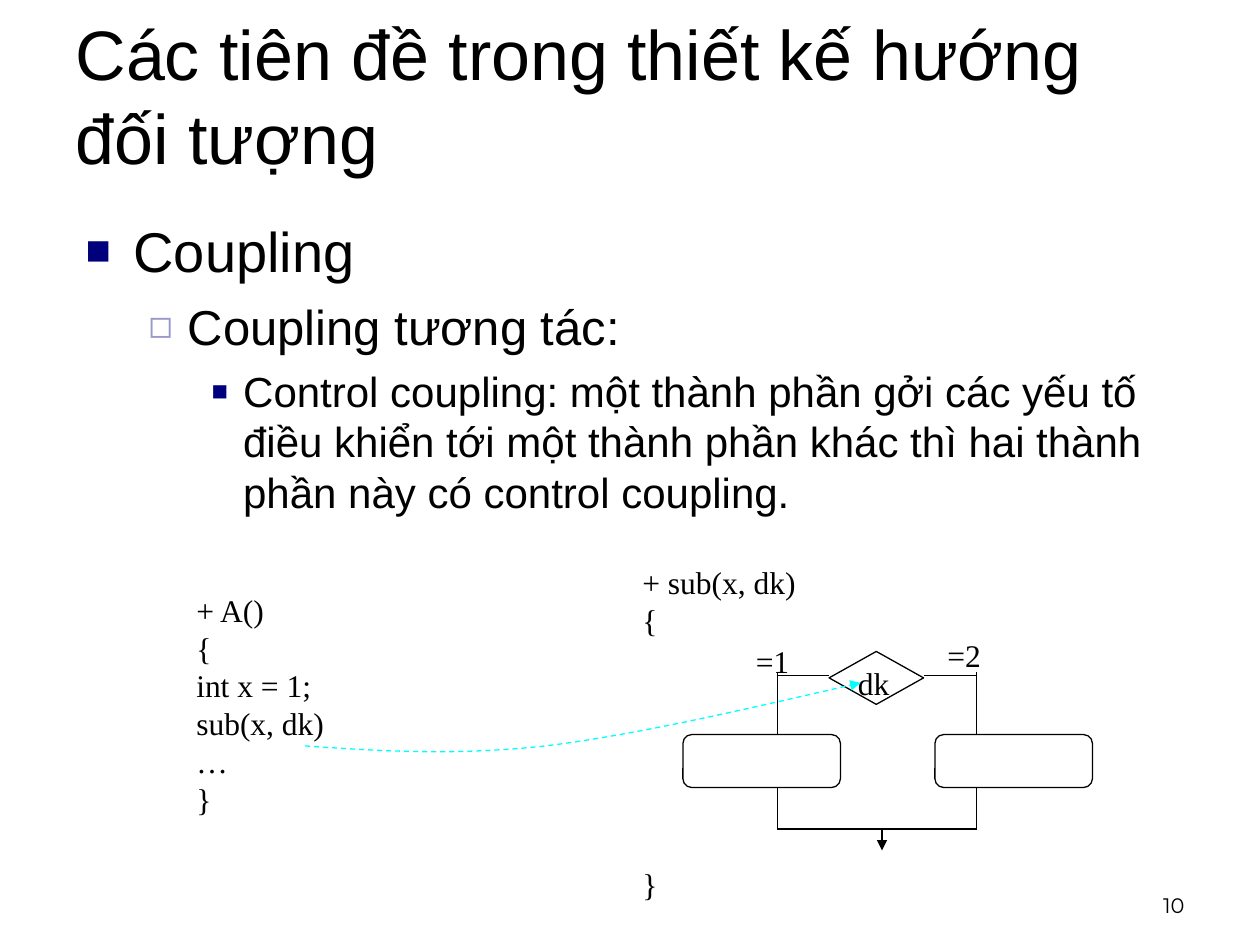
from dataclasses import dataclass

import pptx
import pptx.dml.color
import pptx.enum.dml
import pptx.enum.shapes
import pptx.enum.text
import pptx.oxml
import pptx.oxml.ns
import pptx.util
from pptx.util import Inches

RGBColor = pptx.dml.color.RGBColor
BLACK = RGBColor(0x00, 0x00, 0x00)
NAVY = RGBColor(0x00, 0x00, 0x7D)
LAVENDER = RGBColor(0x99, 0x99, 0xCC)
CYAN = RGBColor(0x00, 0xFF, 0xFF)

Align = pptx.enum.text.PP_ALIGN
Anchor = pptx.enum.text.MSO_ANCHOR
Preset = pptx.enum.shapes.MSO_SHAPE
LINE_FACTOR = 1.2
CODE_SIZE = 18


@dataclass
class Bullet:
    text: str
    size: int
    before: int
    margin: float
    hanging: float
    mark: str
    color: RGBColor
    percent: int


@dataclass
class Branch:
    center: float
    box_left: float
    diamond_corner: float


BULLETS = [
    Bullet("Coupling", 32, 8, 0.38, 0.38, "■", NAVY, 75),
    Bullet("Coupling tương tác:", 28, 7, 0.81, 0.31, "◻", LAVENDER, 80),
    Bullet("Control coupling: một thành phần gởi các yếu tố điều khiển tới một "
           "thành phần khác thì hai thành phần này có control coupling.",
           24, 6, 1.25, 0.25, "■", NAVY, 65),
]
BRANCHES = [Branch(6.17, 5.42, 6.58), Branch(7.75, 7.42, 7.33)]


def place(shape, left: float, top: float, width: float, height: float) -> None:
    shape.left, shape.top = Inches(left), Inches(top)
    shape.width, shape.height = Inches(width), Inches(height)


def write(frame, lines: list[str], *, size: int, font: str = "Times New Roman",
          align=Align.LEFT, anchor=Anchor.TOP, wrap: bool = True) -> None:
    """Fill a text frame with one paragraph for each line."""
    frame.auto_size = pptx.enum.text.MSO_AUTO_SIZE.NONE
    frame.word_wrap = wrap
    frame.vertical_anchor = anchor
    for index, line in enumerate(lines):
        para = frame.paragraphs[0] if index == 0 else frame.add_paragraph()
        para.alignment = align
        para.space_before = pptx.util.Pt(0)
        para.line_spacing = pptx.util.Pt(size * LINE_FACTOR)
        span = para.add_run()
        span.text = line
        span.font.size = pptx.util.Pt(size)
        span.font.name = font
        span.font.color.rgb = BLACK


def add_text(page, lines: list[str], left: float, top: float, width: float,
             height: float, **text_format):
    box = page.shapes.add_textbox(Inches(left), Inches(top), Inches(width), Inches(height))
    write(box.text_frame, lines, **text_format)
    return box


def add_xml(parent, tag: str, **attributes: str):
    child = pptx.oxml.parse_xml(f"<a:{tag} {pptx.oxml.ns.nsdecls('a')}/>")
    for name, value in attributes.items():
        child.set(name, value)
    parent.append(child)
    return child


def format_bullet(para, level: int, bullet: Bullet) -> None:
    para.level = level
    para.space_before = pptx.util.Pt(bullet.before)
    para.line_spacing = pptx.util.Pt(bullet.size * LINE_FACTOR)
    para.font.size = pptx.util.Pt(bullet.size)
    para.runs[0].font.size = pptx.util.Pt(bullet.size)
    props = para._p.get_or_add_pPr()
    props.set("marL", str(Inches(bullet.margin)))
    props.set("indent", str(-Inches(bullet.hanging)))
    add_xml(add_xml(props, "buClr"), "srgbClr", val=str(bullet.color))
    add_xml(props, "buSzPct", val=str(bullet.percent * 1000))
    add_xml(props, "buChar", char=bullet.mark)


def style_line(shape, color: RGBColor = BLACK, arrow: bool = False, dashed: bool = False) -> None:
    shape.line.color.rgb = color
    shape.line.width = pptx.util.Pt(0.75)
    if dashed:
        shape.line.dash_style = pptx.enum.dml.MSO_LINE.DASH
    if arrow:
        add_xml(shape.line._get_or_add_ln(), "tailEnd", type="triangle")


def add_outline(group, preset, left: float, top: float, width: float, height: float) -> None:
    shape = group.shapes.add_shape(preset, Inches(left), Inches(top), Inches(width), Inches(height))
    shape.shadow.inherit = False
    shape.fill.background()
    style_line(shape)


def add_line(group, x1: float, y1: float, x2: float, y2: float, arrow: bool = False) -> None:
    line = group.shapes.add_connector(pptx.enum.shapes.MSO_CONNECTOR.STRAIGHT,
                                      Inches(x1), Inches(y1), Inches(x2), Inches(y2))
    style_line(line, arrow=arrow)
    add_xml(line._element.spPr, "effectLst")


def curve_points(p0, p1, p2, p3, steps: int = 20) -> list[tuple[float, float]]:
    """Points along a cubic curve, without its start."""
    points = []
    for step in range(1, steps + 1):
        t = step / steps
        weights = ((1 - t) ** 3, 3 * t * (1 - t) ** 2, 3 * t ** 2 * (1 - t), t ** 3)
        points.append(tuple(sum(w * p[axis] for w, p in zip(weights, (p0, p1, p2, p3)))
                            for axis in (0, 1)))
    return points


def add_flowchart(page) -> None:
    group = page.shapes.add_group_shape()
    add_outline(group, Preset.FLOWCHART_DECISION, 6.58, 5.17, 0.75, 0.42)
    for branch in BRANCHES:
        add_line(group, branch.diamond_corner, 5.36, branch.center, 5.36)
        add_outline(group, Preset.ROUNDED_RECTANGLE, branch.box_left, 5.83, 1.25, 0.42)
        add_line(group, branch.center, 5.33, branch.center, 5.83)
        add_line(group, branch.center, 6.25, branch.center, 6.58)
    add_line(group, BRANCHES[0].center, 6.58, BRANCHES[1].center, 6.58)
    add_line(group, 7, 6.58, 7, 6.75, arrow=True)
    for label, left, top in (("dk", 6.71, 5.22), ("=1", 5.9, 5.05), ("=2", 7.42, 5)):
        add_text(page, [label], left, top, 0.5, 0.4, size=CODE_SIZE, wrap=False)


def add_control_arrow(page) -> None:
    start, middle, end = (2.42, 5.92), (4.33, 5.92), (6.83, 5.42)
    points = (curve_points(start, (3.01, 5.96), (3.6, 6), middle)
              + curve_points(middle, (5.07, 5.83), (5.95, 5.62), end))
    # The builder keeps whole units only, so points go in as EMU
    builder = page.shapes.build_freeform(Inches(start[0]), Inches(start[1]), scale=1.0)
    builder.add_line_segments([(Inches(x), Inches(y)) for x, y in points], close=False)
    arrow = builder.convert_to_shape()
    arrow.shadow.inherit = False
    arrow.fill.background()
    style_line(arrow, CYAN, arrow=True, dashed=True)


def main() -> None:
    deck = pptx.Presentation()
    deck.slide_width, deck.slide_height = Inches(10), Inches(7.5)
    page = deck.slides.add_slide(deck.slide_layouts[1])

    # Title and bullet list
    title, body = page.placeholders
    place(title, 0.5, 0, 9, 1.5)
    write(title.text_frame, ["Các tiên đề trong thiết kế hướng đối tượng"],
          size=40, font="Arial", anchor=Anchor.MIDDLE)
    place(body, 0.58, 1.67, 9, 5.5)
    write(body.text_frame, [bullet.text for bullet in BULLETS], size=32, font="Arial")
    for level, (para, bullet) in enumerate(zip(body.text_frame.paragraphs, BULLETS)):
        format_bullet(para, level, bullet)

    # Slide number
    add_text(page, ["10"], 7.17, 6.83, 2.33, 0.5, size=12, font="Montserrat",
             align=Align.RIGHT, anchor=Anchor.BOTTOM)

    # Code of the caller and of the called method
    add_text(page, ["+ A()", "{", "int x = 1;", "sub(x, dk)", "…", "}"],
             1.46, 4.64, 1.37, 1.9, size=CODE_SIZE, wrap=False)
    called = add_text(page, ["+ sub(x, dk)", "{", "}"], 5, 4.42, 2.5, 2.8, size=CODE_SIZE)
    called.text_frame.paragraphs[-1].space_before = pptx.util.Pt(6 * CODE_SIZE * LINE_FACTOR)

    # Flow inside the called method, and the control passed to it
    add_flowchart(page)
    add_control_arrow(page)
    deck.save("out.pptx")


if __name__ == "__main__":
    main()
